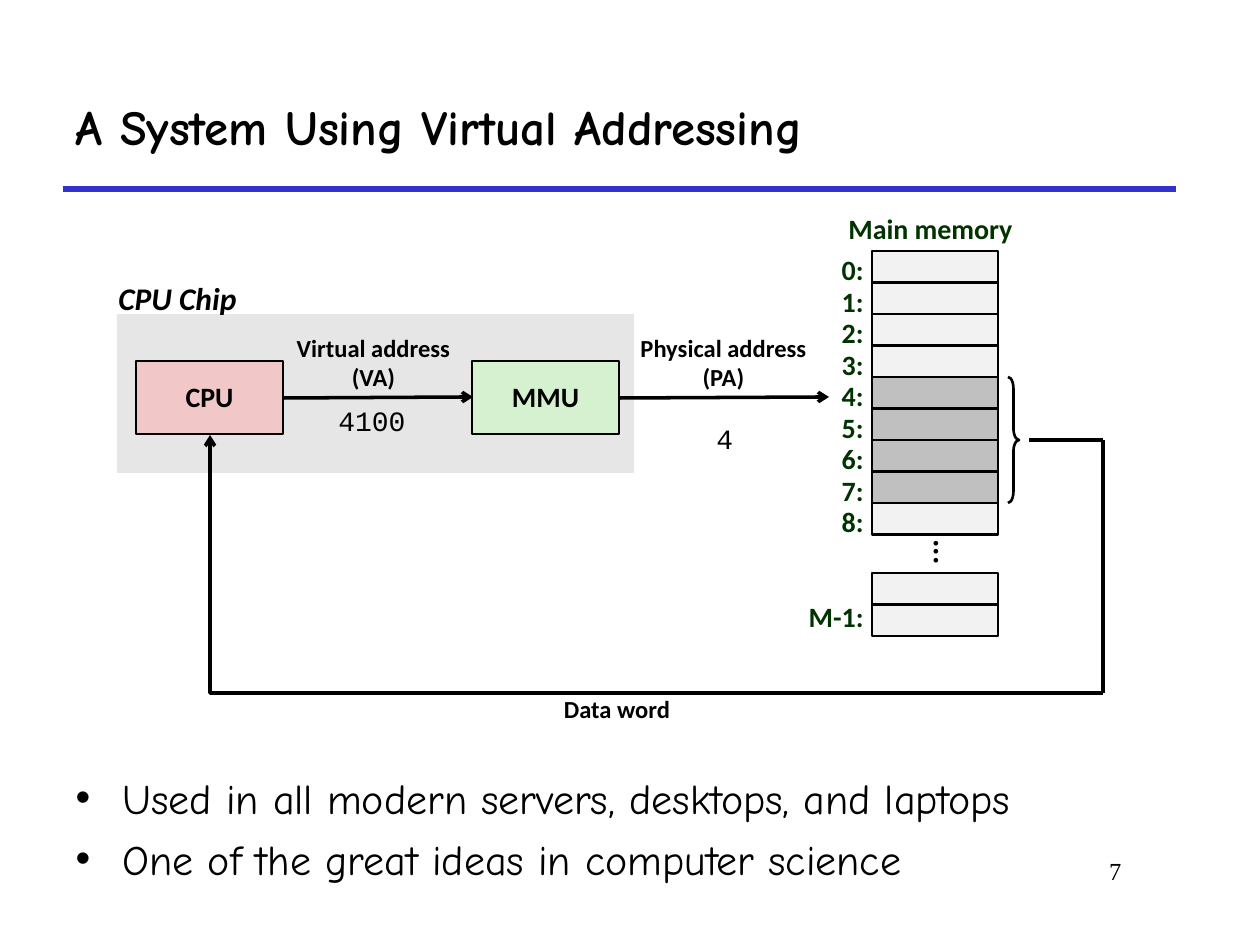
"""Builds a slide on a system that uses virtual addressing."""
from lxml.etree import SubElement
from pptx import Presentation
from pptx.dml.color import RGBColor
from pptx.enum.shapes import MSO_CONNECTOR as LINK, MSO_SHAPE as SHAPE
from pptx.enum.text import MSO_ANCHOR as ANCHOR, MSO_AUTO_SIZE as FIT, PP_ALIGN as ALIGN
from pptx.oxml.ns import qn
from pptx.util import Pt

SCALE = 914400 // 126
BLACK, GREEN, RULE_BLUE = "000000", "003300", "3333CC"
LIGHT, DARK, CHIP_GREY = "F2F2F2", "C0C0C0", "E6E6E6"
LEFT, CENTER, RIGHT = ALIGN.LEFT, ALIGN.CENTER, ALIGN.RIGHT

TITLE = "A System Using Virtual Addressing"
BULLETS = ["Used in all modern servers, desktops, and laptops",
           "One of the great ideas in computer science"]
CHIP = (117, 314, 517, 159)
UNITS = [("CPU", (136, 361, 147, 73), "F1C7C7"),
         ("MMU", (472, 361, 147, 73), "D5F1CF")]

MEMORY_LEFT, MEMORY_TOP, CELL_WIDTH, CELL_HEIGHT = 872, 251, 126, 31.5
ADDRESSES = range(9)
WORD = range(4, 8)
LAST_TOP = 573
BRACE = (1008, 377, 11, 126)

memory_style = dict(size=16, bold=True, color=GREEN, spacing=0.88, before=6)
caption_style = dict(size=14, bold=True, spacing=0.98, align=CENTER, anchor=ANCHOR.MIDDLE)
code_style = dict(size=16, font="Courier New")
LABELS = [
    (["Main memory"], (836, 210, 189, 42), dict(memory_style, align=CENTER)),
    (["Virtual address", "(VA)"], (284, 328, 179, 70), caption_style),
    (["Physical address", "(PA)"], (628, 328, 191, 70), caption_style),
    (["Data word"], (551, 689, 132, 42), caption_style),
    (["CPU Chip"], (106, 273, 143, 50), dict(size=18, bold=True, italic=True)),
    (["4100"], (326, 397, 92, 47), code_style),
    (["4"], (704, 415, 42, 47), code_style),
]
ADDRESS_LABELS = [(f"{address}:", MEMORY_TOP + address * CELL_HEIGHT) for address in ADDRESSES]
ADDRESS_LABELS.append(("M-1:", 598))
LINKS = [
    ((284, 398, 473, 397), True),
    ((620, 398, 829, 397), True),
    ((1029, 440, 1103, 440), False),
    ((1103, 440, 1103, 693), False),
]
RETURN_PATH = (210, 435, 1103, 693)


def emu(values):
    """Turn pixels into EMU."""
    return [round(value * SCALE) for value in values]


def rgb(code):
    """Turn a hex string into a colour."""
    return RGBColor.from_string(code)


def write(shape, lines, size=16, font="Calibri", color=BLACK, bold=False, italic=False,
          align=LEFT, anchor=ANCHOR.TOP, spacing=1, before=0, wrap=False, fit=FIT.NONE):
    """Fill a shape with formatted paragraphs."""
    frame = shape.text_frame
    frame.word_wrap, frame.auto_size, frame.vertical_anchor = wrap, fit, anchor
    frame.text = "\n".join(lines)
    for para in frame.paragraphs:
        para.alignment, para.line_spacing = align, spacing
        para.space_before = Pt(before)
        for span in para.runs:
            span.font.name, span.font.size = font, Pt(size)
            span.font.bold, span.font.italic = bold, italic
            span.font.color.rgb = rgb(color)
    return frame


def add_text(lines, area, **style):
    """Add a text box."""
    return write(page.shapes.add_textbox(*emu(area)), lines, **style)


def add_box(area, fill=None, line=None, kind=SHAPE.RECTANGLE):
    """Add a preset shape without shadow."""
    box = page.shapes.add_shape(kind, *emu(area))
    box.shadow.inherit = False
    if fill:
        box.fill.solid()
        box.fill.fore_color.rgb = rgb(fill)
    else:
        box.fill.background()
    if line:
        box.line.color.rgb, box.line.width = rgb(BLACK), Pt(line)
    else:
        box.line.fill.background()
    return box


def add_link(ends, arrow=False, color=BLACK, width=2, kind=LINK.STRAIGHT):
    """Add a line, with an open arrowhead at its end if asked."""
    link = page.shapes.add_connector(kind, *emu(ends))
    link.line.color.rgb, link.line.width = rgb(color), Pt(width)
    if arrow:
        SubElement(link.line._get_or_add_ln(), qn("a:tailEnd"), type="arrow")
    SubElement(link._element.spPr, qn("a:effectLst"))
    return link


def place(shape, area):
    """Move and size a placeholder."""
    shape.left, shape.top, shape.width, shape.height = emu(area)


deck = Presentation()
deck.slide_width, deck.slide_height = emu((1260, 945))
page = deck.slides.add_slide(deck.slide_layouts[1])

title, body = page.placeholders
place(title, (63, 63, 1113, 126))
write(title, [TITLE], size=28, font="Comic Neue", bold=True, anchor=ANCHOR.MIDDLE, wrap=True)
place(body, (63, 766, 1145, 147))
for para in write(body, BULLETS, size=24, font="Comic Neue", before=6, wrap=True).paragraphs:
    indent = 47 * SCALE
    props = para._p.get_or_add_pPr()
    props.set("marL", str(indent))
    props.set("indent", str(-indent))
    SubElement(props, qn("a:buChar"), char="•")

add_link((63, 189, 1176, 189), color=RULE_BLUE, width=3)
add_text(["7"], (955, 850, 179, 63), size=14, font="Times New Roman", align=RIGHT, wrap=True)

add_box(CHIP, CHIP_GREY)
for name, area, fill in UNITS:
    write(add_box(area, fill, 1), [name], bold=True, align=CENTER,
          anchor=ANCHOR.MIDDLE, spacing=0.98)

cells = [(MEMORY_TOP + i * CELL_HEIGHT, DARK if i in WORD else LIGHT) for i in ADDRESSES]
cells += [(LAST_TOP + i * CELL_HEIGHT, LIGHT) for i in range(2)]
for top, fill in cells:
    add_box((MEMORY_LEFT, top, CELL_WIDTH, CELL_HEIGHT), fill, 1.5)
for label, top in ADDRESS_LABELS:
    add_text([label], (776, top, 100, 42), align=RIGHT, wrap=True, **memory_style)

dots = add_text(["..."], (882, 527, 126, 32), size=18, bold=True, align=CENTER,
                anchor=ANCHOR.MIDDLE, spacing=0.98)
dots.margin_left = dots.margin_right = Pt(3.6)
dots.margin_top = dots.margin_bottom = Pt(7.2)
dots._txBody.bodyPr.set("vert", "eaVert")
dots.paragraphs[0]._p.get_or_add_pPr().set("rtl", "1")

brace = add_box(BRACE, line=1.5, kind=SHAPE.RIGHT_BRACE)
brace.adjustments[0] = 1.04

for lines, area, style in LABELS:
    add_text(lines, area, fit=FIT.SHAPE_TO_FIT_TEXT, **style)
for ends, arrow in LINKS:
    add_link(ends, arrow)

data_return = add_link(RETURN_PATH, arrow=True, kind=LINK.ELBOW)
outline = data_return._element.spPr
outline.find(qn("a:prstGeom")).set("prst", "bentConnector2")
outline.find(qn("a:xfrm")).set("rot", "10800000")

deck.save("out.pptx")
